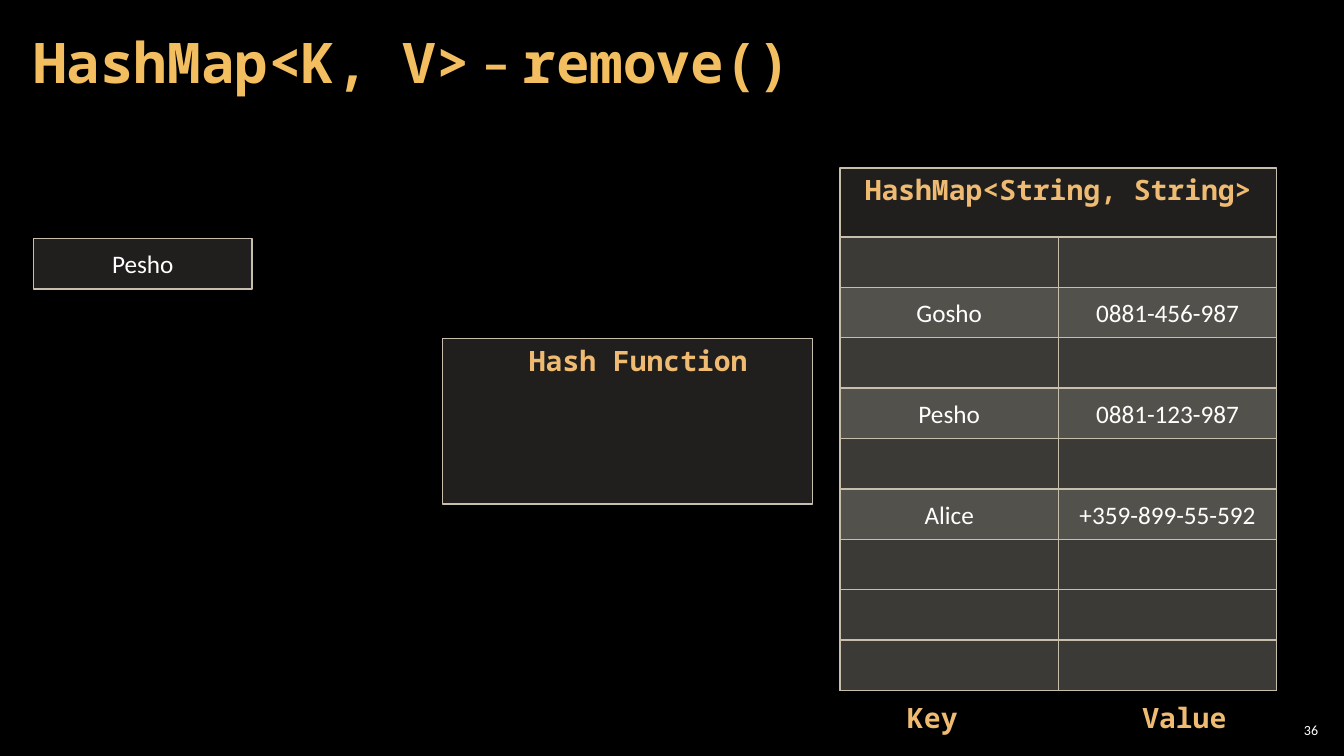
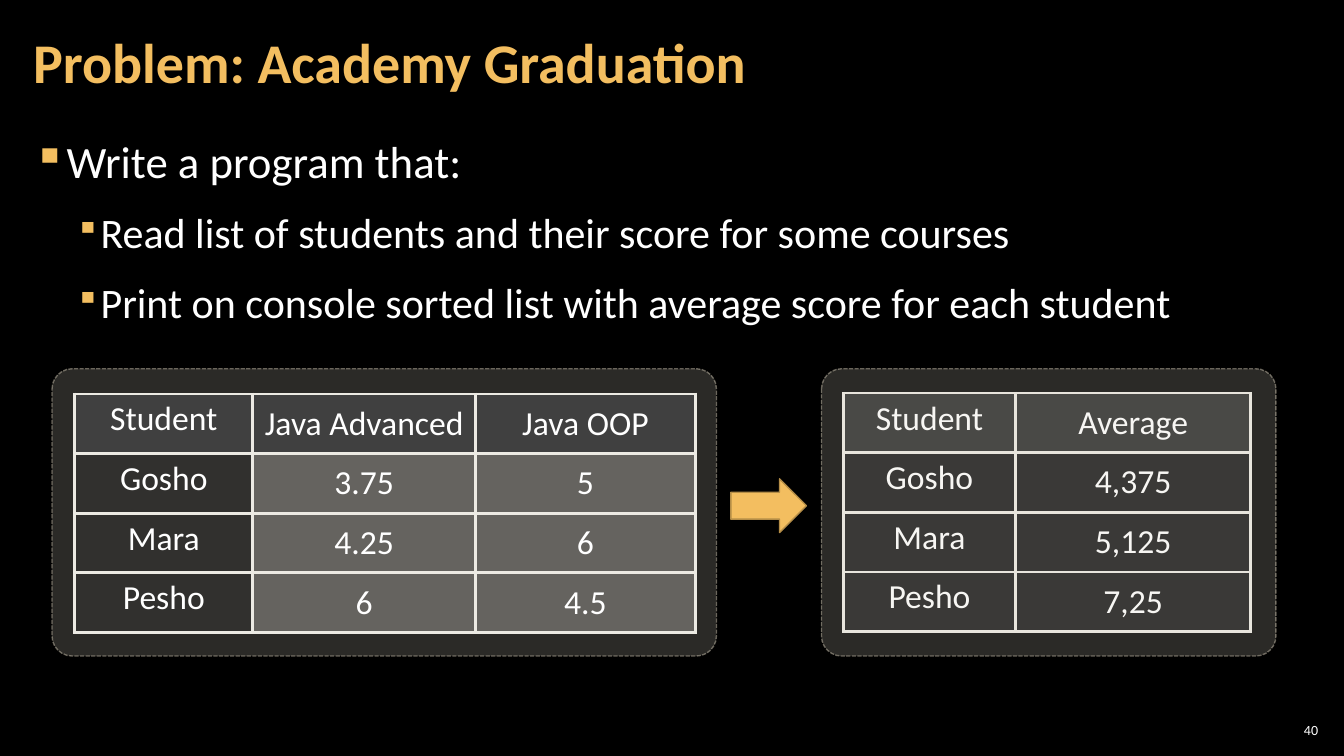
import collections
import pptx
import pptx.dml.color
import pptx.enum.dml
import pptx.enum.shapes
import pptx.enum.text
import pptx.oxml
import pptx.oxml.ns
import pptx.util

Style = collections.namedtuple("Style", "font size colour bold")
Look = collections.namedtuple("Look", "fill opacity line")
Theme = collections.namedtuple(
    "Theme", "background rule bullet title number label cell table body subitem panel card arrow")

SANS, MONO = "Calibri", "Noto Sans Mono"
WHITE, GOLD = "FFFFFF", "F3BE60"
theme = Theme(
    background="000000",
    rule="ECEAE3",
    bullet=GOLD,
    title=Style(SANS, 40, GOLD, True),
    number=Style(SANS, 10, WHITE, False),
    label=Style(MONO, 20, "EFBB72", True),
    cell=Style(SANS, 18, WHITE, False),
    table=Style(SANS, 24, WHITE, False),
    body=Style(SANS, 32, WHITE, False),
    subitem=Style(SANS, 30, WHITE, False),
    panel=Look("D9D5C7", 15, "C7BFAC"),
    card=Look("D9D5C7", 20, "C7BFAC"),
    arrow=Look(GOLD, 100, "B48D47"),
)

Align = pptx.enum.text.PP_ALIGN
Anchor = pptx.enum.text.MSO_ANCHOR
Kind = pptx.enum.shapes.MSO_SHAPE
qn = pptx.oxml.ns.qn
nsdecls = pptx.oxml.ns.nsdecls("a")

deck = pptx.Presentation()
deck.slide_width = pptx.util.Inches(13.333)
deck.slide_height = pptx.util.Inches(7.5)
UNIT = deck.slide_width / 80  # the slide is a grid of 80 columns by 45 rows


def paint(fill, holder, colour, opacity=100):
    """Fill with a colour; holder is the XML element that carries the fill."""
    fill.solid()
    fill.fore_color.rgb = pptx.dml.color.RGBColor.from_string(colour)
    if opacity < 100:
        tint = holder.find(qn("a:solidFill"))[0]
        tint.append(pptx.oxml.parse_xml(f'<a:alpha {nsdecls} val="{opacity * 1000}"/>'))


def put(page, area, text="", style=None, kind=None, look=None,
        align=Align.CENTER, anchor=Anchor.TOP, inset=(0.1, 0.05)):
    """Add a text box, or a shape of a kind and look, at an area in grid units."""
    place = [round(length * UNIT) for length in area]
    if kind is None:
        box = page.shapes.add_textbox(*place)
    else:
        box = page.shapes.add_shape(kind, *place)
        box.shadow.inherit = False
        paint(box.fill, box.element.spPr, look.fill, look.opacity)
        box.line.color.rgb = pptx.dml.color.RGBColor.from_string(look.line)
        box.line.width = pptx.util.Pt(1)
    frame = box.text_frame
    frame.word_wrap = True
    frame.vertical_anchor = anchor
    frame.margin_left = frame.margin_right = pptx.util.Inches(inset[0])
    frame.margin_top = frame.margin_bottom = pptx.util.Inches(inset[1])
    if style:
        para = frame.paragraphs[0]
        para.text = text
        para.alignment = align
        para.font.name, para.font.bold = style.font, style.bold
        para.font.size = pptx.util.Pt(style.size)
        para.font.color.rgb = pptx.dml.color.RGBColor.from_string(style.colour)
    return box


# Shared: background, title and page number
paint(deck.slide_master.background.fill, deck.slide_master.element.cSld.bg.bgPr, theme.background)
headings = [
    ("36", [("HashMap<K, V>", MONO), (" – ", SANS), ("remove()", MONO)]),
    ("40", [("Problem: Academy Graduation", SANS)]),
]
for number, title_parts in headings:
    page = deck.slides.add_slide(deck.slide_layouts[6])
    title = put(page, (1.25, 0.25, 62.8, 7.25), "", theme.title,
                align=Align.LEFT, anchor=Anchor.MIDDLE, inset=(0.12, 0.04))
    para = title.text_frame.paragraphs[0]
    para.line_spacing = 0.9
    for words, font in title_parts:
        span = para.add_run()
        span.text = words
        span.font.name = font
    put(page, (75.9, 42.85, 2.8, 1.25), number, theme.number,
        align=Align.RIGHT, anchor=Anchor.MIDDLE, inset=(0.04, 0.04))
map_page, problem_page = deck.slides

# Hash map: a panel with nine rows of key and value
MAP_LEFT, MAP_TOP, FIRST_ROW = 50, 10, 14.1
CELL_WIDTH, CELL_HEIGHT, ROW_COUNT = 13, 3, 9
entries = {
    1: ("Gosho", "0881-456-987"),
    3: ("Pesho", "0881-123-987"),
    5: ("Alice", "+359-899-55-592"),
}
map_height = FIRST_ROW - MAP_TOP + ROW_COUNT * CELL_HEIGHT
put(map_page, (MAP_LEFT, MAP_TOP, 2 * CELL_WIDTH, map_height),
    kind=Kind.RECTANGLE, look=theme.panel)
for row in range(ROW_COUNT):
    for column in range(2):
        area = (MAP_LEFT + column * CELL_WIDTH, FIRST_ROW + row * CELL_HEIGHT,
                CELL_WIDTH, CELL_HEIGHT)
        put(map_page, area, kind=Kind.RECTANGLE, look=theme.panel)
        if row in entries:
            put(map_page, area, entries[row][column], theme.cell,
                Kind.RECTANGLE, theme.panel, anchor=Anchor.MIDDLE)

# Hash function and the key to remove
put(map_page, (26.35, 20.15, 22, 9.85), kind=Kind.RECTANGLE, look=theme.panel)
put(map_page, (2, 14.2, CELL_WIDTH, CELL_HEIGHT), "Pesho", theme.cell,
    Kind.RECTANGLE, theme.panel, anchor=Anchor.MIDDLE)
labels = [
    ("HashMap<String, String>", (MAP_LEFT, MAP_TOP, 2 * CELL_WIDTH, 2.6)),
    ("Hash Function", (29, 20.15, 18, 2.6)),
    ("Key", (MAP_LEFT - 1, 41.4, CELL_WIDTH, 2.6)),
    ("Value", (MAP_LEFT + CELL_WIDTH + 1, 41.4, CELL_WIDTH, 2.6)),
]
for words, area in labels:
    put(map_page, area, words, theme.label)

# Problem: bulleted task
tasks = [
    ("Write a program that:", theme.body, 0, 0.33, 0.33, 100),
    ("Read list of students and their score for some courses", theme.subitem, 1, 0.67, 0.25, 80),
    ("Print on console sorted list with average score for each student",
     theme.subitem, 1, 0.67, 0.25, 80),
]
body = put(problem_page, (1.25, 7.55, 77.5, 14), inset=(0.12, 0.04))
for index, (words, style, level, indent, hanging, bullet_size) in enumerate(tasks):
    para = body.text_frame.paragraphs[0] if index == 0 else body.text_frame.add_paragraph()
    para.text = words
    para.level = level
    para.line_spacing = 1.05
    para.space_before = para.space_after = pptx.util.Pt(6)
    properties = para._p.get_or_add_pPr()
    properties.set("marL", str(pptx.util.Inches(indent)))
    properties.set("indent", str(-pptx.util.Inches(hanging)))
    for bullet in (
        f'<a:buClr {nsdecls}><a:srgbClr val="{theme.bullet}"/></a:buClr>',
        f'<a:buSzPct {nsdecls} val="{bullet_size * 1000}"/>',
        f'<a:buChar {nsdecls} char="▪"/>',
    ):
        properties.append(pptx.oxml.parse_xml(bullet))
    para.font.name = style.font
    para.font.size = pptx.util.Pt(style.size)
    para.font.color.rgb = pptx.dml.color.RGBColor.from_string(style.colour)

# Problem: score table, arrow, average table; each table sits with a card
DARK, LIGHT = ("404040", 30), ("ECEAE3", 30)
ROW_HEIGHT = 3.55
tables = [
    ((3.1, 21.95, 39.55, 17.1), (4.45, 23.45), (10.6, 13.25, 13.1), ("404040", 100), LIGHT, True,
     [("Student", "Java Advanced", "Java OOP"),
      ("Gosho", "3.75", "5"),
      ("Mara", "4.25", "6"),
      ("Pesho", "6", "4.5")]),
    ((48.9, 21.95, 27.05, 17.1), (50.2, 23.4), (10.25, 14), ("262626", 100), DARK, False,
     [("Student", "Average"),
      ("Gosho", "4,375"),
      ("Mara", "5,125"),
      ("Pesho", "7,25")]),
]
for card_area, (left, top), widths, header_fill, score_fill, card_behind, rows in tables:
    card = put(problem_page, card_area, kind=Kind.ROUNDED_RECTANGLE, look=theme.card)
    card.adjustments[0] = 0.07
    card.line.dash_style = pptx.enum.dml.MSO_LINE.SQUARE_DOT
    paint(card.line.fill, card.element.spPr.find(qn("a:ln")), theme.card.line, 50)

    place = [round(n * UNIT) for n in (left, top, sum(widths), ROW_HEIGHT * len(rows))]
    holder = problem_page.shapes.add_table(len(rows), len(widths), *place)
    if not card_behind:
        holder.element.addnext(card.element)
    table = holder.table
    table.first_row = table.horz_banding = False
    for column, width in zip(table.columns, widths):
        column.width = round(width * UNIT)
    for row, values in enumerate(rows):
        for column, value in enumerate(values):
            cell = table.cell(row, column)
            cell.vertical_anchor = Anchor.MIDDLE if column else Anchor.TOP
            properties = cell._tc.get_or_add_tcPr()
            fill = header_fill if row == 0 else score_fill if column else DARK
            paint(cell.fill, properties, *fill)
            for position, side in enumerate("LRTB"):
                properties.insert(position, pptx.oxml.parse_xml(
                    f'<a:ln{side} {nsdecls} w="{pptx.util.Pt(2.25)}"><a:solidFill>'
                    f'<a:srgbClr val="{theme.rule}"/></a:solidFill></a:ln{side}>'))
            para = cell.text_frame.paragraphs[0]
            para.text = value
            para.alignment = Align.CENTER
            para.font.name = theme.table.font
            para.font.size = pptx.util.Pt(theme.table.size)
            para.font.color.rgb = pptx.dml.color.RGBColor.from_string(theme.table.colour)
put(problem_page, (43.5, 28.5, 4.5, 3.2), kind=Kind.RIGHT_ARROW, look=theme.arrow)

deck.save("out.pptx")
